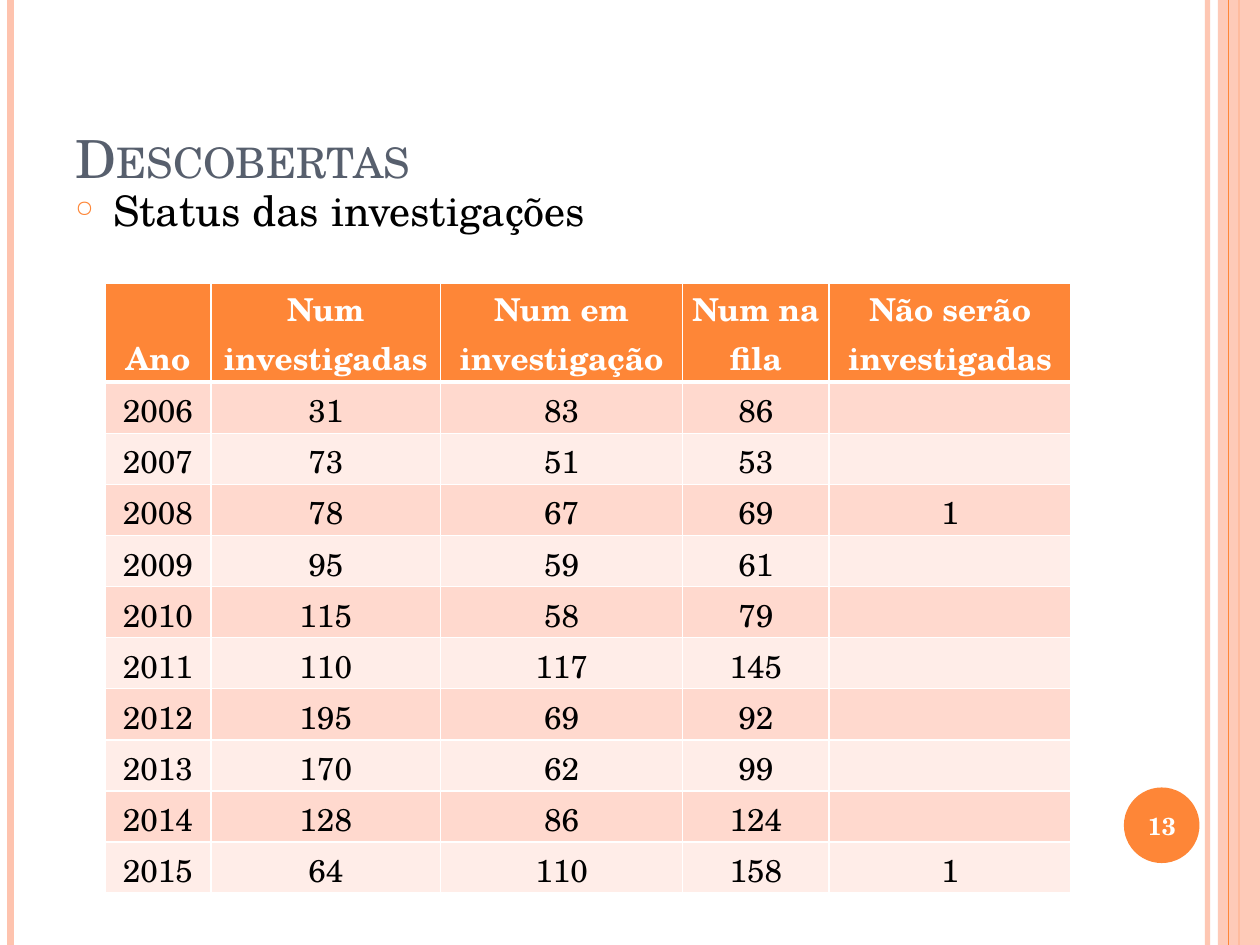
"""Build the slide with the yearly status of investigations."""
import dataclasses
import typing

import lxml.etree
import pptx
import pptx.dml.color
import pptx.enum.shapes
import pptx.enum.text
import pptx.oxml.ns
import pptx.util

Pt = pptx.util.Pt
qn = pptx.oxml.ns.qn
ANCHOR = pptx.enum.text.MSO_ANCHOR
ALIGN = pptx.enum.text.PP_ALIGN
SHAPE = pptx.enum.shapes.MSO_SHAPE
FONT = "TeX Gyre Schola"
COLORS = {
    "accent": "FE8637",
    "pale": "FEC3AE",
    "title": "575F6D",
    "text": "000000",
    "white": "FFFFFF",
    "odd_row": "FFD9CE",
    "even_row": "FFEDE8",
}
SLIDE_WIDTH, SLIDE_HEIGHT = 720, 540
COLUMN_WIDTHS = (60.5, 131.3, 138.2, 83.9, 138.2)
HEADER_HEIGHT, ROW_HEIGHT = 56.4, 29.2
HEADERS = ("Ano", "Num investigadas", "Num em investigação", "Num na fila", "Não serão investigadas")
INVESTIGATIONS = (
    (2006, 31, 83, 86, ""),
    (2007, 73, 51, 53, ""),
    (2008, 78, 67, 69, 1),
    (2009, 95, 59, 61, ""),
    (2010, 115, 58, 79, ""),
    (2011, 110, 117, 145, ""),
    (2012, 195, 69, 92, ""),
    (2013, 170, 62, 99, ""),
    (2014, 128, 86, 124, ""),
    (2015, 64, 110, 158, 1),
)


@dataclasses.dataclass(frozen=True)
class Stripe:
    x: float
    color: str
    weight: float
    opacity: int = 100


@dataclasses.dataclass(frozen=True)
class Box:
    left: float
    top: float
    width: float
    height: float

    def lengths(self) -> tuple:
        return tuple(Pt(length) for length in dataclasses.astuple(self))


BACK_STRIPES = (Stripe(690, "pale", 3, 93), Stripe(6, "pale", 4.5), Stripe(708, "accent", 1.5))
FRONT_STRIPE = Stripe(702, "accent", 0.75)


def rgb(color: str) -> pptx.dml.color.RGBColor:
    return pptx.dml.color.RGBColor.from_string(COLORS[color])


def set_opacity(element: typing.Any, percent: int) -> None:
    color = element.find(".//" + qn("a:srgbClr"))
    lxml.etree.SubElement(color, qn("a:alpha"), val=str(percent * 1000))


def add_stripe(slide: typing.Any, stripe: Stripe) -> None:
    x = Pt(stripe.x)
    line = slide.shapes.add_connector(
        pptx.enum.shapes.MSO_CONNECTOR.STRAIGHT, x, Pt(0), x, Pt(SLIDE_HEIGHT)
    )
    line.line.color.rgb = rgb(stripe.color)
    line.line.width = Pt(stripe.weight)
    properties = line._element.spPr
    if stripe.opacity < 100:
        set_opacity(properties, stripe.opacity)
    lxml.etree.SubElement(properties, qn("a:effectLst"))


def add_area(slide: typing.Any, kind: SHAPE, box: Box, color: str, opacity: int = 100) -> None:
    area = slide.shapes.add_shape(kind, *box.lengths())
    area.shadow.inherit = False
    area.fill.solid()
    area.fill.fore_color.rgb = rgb(color)
    area.line.fill.background()
    if opacity < 100:
        set_opacity(area._element.spPr, opacity)


def add_run(paragraph: typing.Any, text: str, size: float, color: str, bold: bool = False) -> typing.Any:
    run = paragraph.add_run()
    run.text = text
    run.font.name = FONT
    run.font.size = Pt(size)
    run.font.bold = bold
    run.font.color.rgb = rgb(color)
    return run


def add_paragraph_box(slide: typing.Any, box: Box, anchor: ANCHOR) -> typing.Any:
    frame = slide.shapes.add_textbox(*box.lengths()).text_frame
    frame.word_wrap = True
    frame.vertical_anchor = anchor
    return frame.paragraphs[0]


def add_bullet(paragraph: typing.Any, indent: float) -> None:
    properties = paragraph._p.get_or_add_pPr()
    properties.set("marL", str(Pt(indent)))
    properties.set("indent", str(-Pt(indent)))
    bullet_color = lxml.etree.SubElement(properties, qn("a:buClr"))
    lxml.etree.SubElement(bullet_color, qn("a:srgbClr"), val=COLORS["accent"])
    lxml.etree.SubElement(properties, qn("a:buSzPct"), val="55000")
    lxml.etree.SubElement(properties, qn("a:buChar"), char="○")


def add_borders(cell: typing.Any, bottom_weight: float) -> None:
    properties = cell._tc.get_or_add_tcPr()
    for side, weight in (("L", 1), ("R", 1), ("T", 1), ("B", bottom_weight)):
        border = lxml.etree.SubElement(properties, qn(f"a:ln{side}"), w=str(Pt(weight)))
        fill = lxml.etree.SubElement(border, qn("a:solidFill"))
        lxml.etree.SubElement(fill, qn("a:srgbClr"), val=COLORS["white"])


def fill_cell(cell: typing.Any, text: str, row: int) -> None:
    is_header = row == 0
    cell.margin_left = cell.margin_top = cell.margin_right = Pt(0.75)
    cell.margin_bottom = Pt(0)
    cell.vertical_anchor = ANCHOR.BOTTOM
    add_borders(cell, 3 if is_header else 1)
    cell.fill.solid()
    cell.fill.fore_color.rgb = rgb("accent" if is_header else "odd_row" if row % 2 else "even_row")
    if text:
        paragraph = cell.text_frame.paragraphs[0]
        paragraph.alignment = ALIGN.CENTER
        add_run(paragraph, text, 18, "white" if is_header else "text", is_header)


def add_status_table(slide: typing.Any) -> None:
    records = (HEADERS, *INVESTIGATIONS)
    heights = (HEADER_HEIGHT, *[ROW_HEIGHT] * len(INVESTIGATIONS))
    box = Box(60, 162, sum(COLUMN_WIDTHS), sum(heights))
    table = slide.shapes.add_table(len(records), len(HEADERS), *box.lengths()).table
    for column, width in zip(table.columns, COLUMN_WIDTHS):
        column.width = Pt(width)
    for row, (record, height) in enumerate(zip(records, heights)):
        table.rows[row].height = Pt(height)
        for column, value in enumerate(record):
            fill_cell(table.cell(row, column), str(value), row)


def main() -> None:
    presentation = pptx.Presentation()
    presentation.slide_width = Pt(SLIDE_WIDTH)
    presentation.slide_height = Pt(SLIDE_HEIGHT)
    slide = presentation.slides.add_slide(presentation.slide_layouts[6])

    for stripe in BACK_STRIPES:
        add_stripe(slide, stripe)
    add_area(slide, SHAPE.RECTANGLE, Box(696, 0, 24, SLIDE_HEIGHT), "pale", 87)
    add_stripe(slide, FRONT_STRIPE)
    add_area(slide, SHAPE.OVAL, Box(642.24, 450, 43.2, 43.2), "accent")

    title = add_paragraph_box(slide, Box(36, 21.6, 588, 90), ANCHOR.BOTTOM)
    heading = add_run(title, "Descobertas", 30, "title")
    heading.font._element.set("cap", "small")

    topic = add_paragraph_box(slide, Box(36, 102, 648, 96), ANCHOR.TOP)
    topic.space_before = Pt(6)
    add_bullet(topic, 21.6)
    add_run(topic, "Status das investigações", 24, "text")

    page_number = add_paragraph_box(slide, Box(640, 451.4, 48, 41), ANCHOR.MIDDLE)
    page_number.alignment = ALIGN.CENTER
    add_run(page_number, "13", 14, "white", True)

    add_status_table(slide)
    presentation.save("out.pptx")


if __name__ == "__main__":
    main()
